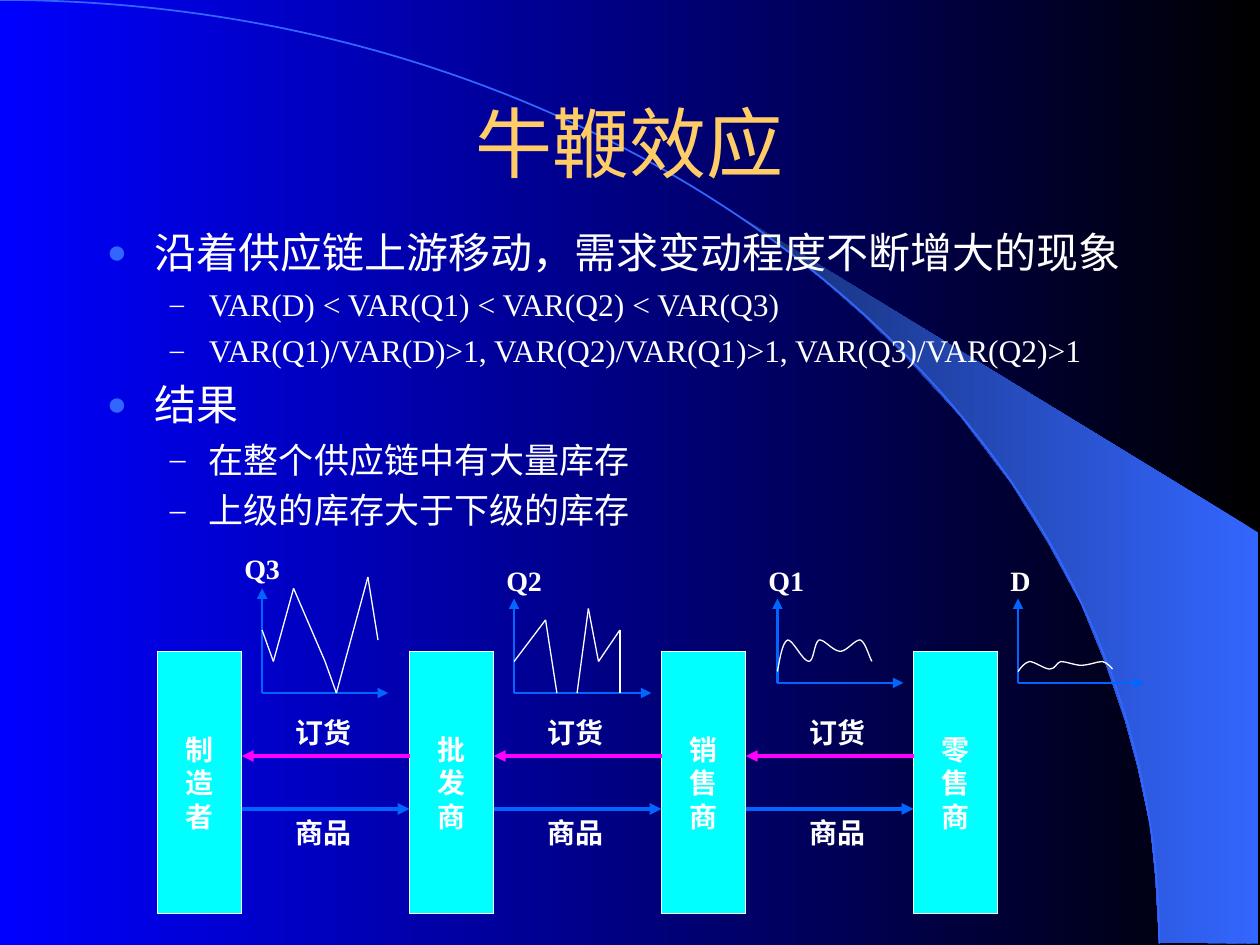
"""Build the bullwhip effect slide with its supply chain diagram."""
from lxml import etree
from pptx import Presentation
from pptx.dml.color import RGBColor
from pptx.enum.shapes import MSO_CONNECTOR, MSO_SHAPE
from pptx.enum.text import MSO_ANCHOR, MSO_AUTO_SIZE, PP_ALIGN
from pptx.oxml.ns import qn
from pptx.util import Inches, Pt

STRAIGHT = MSO_CONNECTOR.STRAIGHT
RECTANGLE = MSO_SHAPE.RECTANGLE
MIDDLE = MSO_ANCHOR.MIDDLE
CENTER, LEFT = PP_ALIGN.CENTER, PP_ALIGN.LEFT
FIT_SHAPE, FIXED = MSO_AUTO_SIZE.SHAPE_TO_FIT_TEXT, MSO_AUTO_SIZE.NONE

WHITE, ACCENT, FLOW_BLUE, MAGENTA, CYAN = "FFFFFF", "3366FF", "0066FF", "FF00FF", "00FFFF"
SERIF = "Times New Roman"
TITLE_FORMAT = {"size": Pt(44), "name": "Arial", "bold": False}
LABEL_FORMAT = {"size": Pt(16), "name": SERIF, "bold": True}

TITLE = "牛鞭效应"
BULLETS = [
    (0, 24, 0, "沿着供应链上游移动，需求变动程度不断增大的现象"),
    (1, 18, 4.5, "VAR(D) < VAR(Q1) < VAR(Q2) < VAR(Q3)"),
    (1, 18, 4.5, "VAR(Q1)/VAR(D)>1, VAR(Q2)/VAR(Q1)>1, VAR(Q3)/VAR(Q2)>1"),
    (0, 24, 6, "结果"),
    (1, 20, 5, "在整个供应链中有大量库存"),
    (1, 20, 5, "上级的库存大于下级的库存"),
]
LEVELS = [
    {"left": 0.38, "hanging": 0.38, "mark": "●", "color": ACCENT, "percent": 80},
    {"left": 0.81, "hanging": 0.31, "mark": "–", "color": WHITE, "percent": 90},
]
STAGES = ["制造者", "批发商", "销售商", "零售商"]
FLOW_LABEL_LEFTS = [2.25, 4.25, 6.33]
FLOW_LABELS = [("订货", 5.63, 0.64, False), ("商品", 6.42, 0.98, True)]
STAGE_LEFT, STAGE_PITCH, STAGE_WIDTH = 1.25, 2, 0.67
ORDER_Y, GOODS_Y = 6, 6.42

CHARTS = [
    {"label": ("Q3", 1.84, 4.33, 0.48), "origin": (2.08, 5.5), "top": 4.67, "right": 3.08,
     "lines": [[(2.08, 5), (2.17, 5.25), (2.33, 4.67), (2.58, 5.25),
                (2.67, 5.5), (2.92, 4.58), (3, 5.08)]]},
    {"label": ("Q2", 3.92, 4.42, 0.48), "origin": (4.08, 5.5), "top": 4.75, "right": 5.17,
     "lines": [[(4.08, 5.25), (4.33, 4.92), (4.42, 5.5)],
               [(4.58, 5.5), (4.67, 4.83), (4.75, 5.25), (4.92, 5), (4.92, 5.5)]]},
    {"label": ("Q1", 6, 4.42, 0.48), "origin": (6.17, 5.42), "top": 4.75, "right": 7.17,
     "curve": [(6.17, 5.33), (6.19, 5.22), (6.21, 5.1), (6.25, 5.08),
               (6.29, 5.07), (6.37, 5.25), (6.42, 5.25), (6.46, 5.25), (6.46, 5.1), (6.5, 5.08),
               (6.54, 5.07), (6.61, 5.17), (6.67, 5.17), (6.72, 5.17), (6.79, 5.07), (6.83, 5.08),
               (6.87, 5.1), (6.9, 5.22), (6.92, 5.25)]},
    {"label": ("D", 7.92, 4.42, 0.36), "origin": (8.08, 5.42), "top": 4.75, "right": 9.08,
     "curve": [(8.08, 5.33), (8.1, 5.3), (8.13, 5.26), (8.17, 5.25),
               (8.21, 5.25), (8.29, 5.31), (8.33, 5.31), (8.38, 5.31), (8.38, 5.26), (8.42, 5.25),
               (8.46, 5.25), (8.53, 5.28), (8.58, 5.28), (8.64, 5.28), (8.71, 5.25), (8.75, 5.25),
               (8.79, 5.26), (8.82, 5.3), (8.83, 5.31)]},
]
ARC = [(0, 0), (5.08, 0), (9.2, 3.35), (9.2, 7.49)]
ARC_FRAME = (-9.2, 0, 18.4, 14.97)
WEDGE = [(9.2, 7.48), (9.99, 7.49), (9.99, 4.23), (5.89, 1.73), (6.24, 1.99), (6.53, 2.22),
         (6.85, 2.5), (7.16, 2.8), (7.62, 3.3), (8.03, 3.84), (8.32, 4.31), (8.58, 4.79),
         (8.78, 5.28), (8.93, 5.72), (9.03, 6.09), (9.13, 6.56), (9.17, 6.96)]


def rgb(value):
    """Turn a hex string into a colour."""
    return RGBColor.from_string(value)


def set_gradient(fill, *colors):
    """Fill with a two-colour gradient running from right to left."""
    fill.gradient()
    fill.gradient_angle = 180
    for stop, position, color in zip(fill.gradient_stops, (0, 1), colors):
        stop.position = position
        stop.color.rgb = rgb(color)


def set_line(line, color, width):
    """Give a line its colour and width in points."""
    line.color.rgb = rgb(color)
    line.width = Pt(width)


def set_font(font, color, values):
    """Apply a colour and a dict of format values to a font."""
    font.color.rgb = rgb(color)
    for name, value in values.items():
        setattr(font, name, value)


def add_outline(slide, points, closed=False):
    """Draw a freeform through points given in inches."""
    corners = [(Inches(x), Inches(y)) for x, y in points]
    builder = slide.shapes.build_freeform(*corners[0], scale=1.0)
    builder.add_line_segments(corners[1:], close=closed)
    shape = builder.convert_to_shape()
    shape.shadow.inherit = False
    return shape


def set_frame(shape, frame):
    """Widen the frame of an outline while its points stay in place."""
    left, top, width, height = map(Inches, frame)
    for point in shape._element.iter(qn("a:pt")):
        point.set("x", str(int(point.get("x")) + shape.left - left))
        point.set("y", str(int(point.get("y")) + shape.top - top))
    geometry = next(shape._element.iter(qn("a:path")))
    geometry.set("w", str(width))
    geometry.set("h", str(height))
    shape.left, shape.top, shape.width, shape.height = left, top, width, height


def add_curve(slide, controls, color, width):
    """Draw a chain of cubic Bézier segments as an open outline."""
    shape = add_outline(slide, controls)
    segments = list(shape._element.iter(qn("a:lnTo")))
    geometry = segments[0].getparent()
    for first in range(0, len(segments), 3):
        bezier = etree.SubElement(geometry, qn("a:cubicBezTo"))
        for segment in segments[first:first + 3]:
            bezier.append(segment[0])
            geometry.remove(segment)
    shape.fill.background()
    set_line(shape.line, color, width)
    return shape


def add_line(slide, start, end, color, width, arrow=False):
    """Draw a straight connector, with an arrowhead at its end if asked."""
    connector = slide.shapes.add_connector(STRAIGHT, *map(Inches, start + end))
    set_line(connector.line, color, width)
    if arrow:
        outline = connector.line._get_or_add_ln()
        etree.SubElement(outline, qn("a:tailEnd"), type="triangle")
    etree.SubElement(connector._element.spPr, qn("a:effectLst"))


def add_text(slide, text, box, color=WHITE, values=LABEL_FORMAT, align=LEFT, wrap=False, fit=FIT_SHAPE):
    """Add a one-paragraph text box."""
    frame = slide.shapes.add_textbox(*map(Inches, box)).text_frame
    frame.word_wrap, frame.auto_size = wrap, fit
    paragraph = frame.paragraphs[0]
    paragraph.text, paragraph.alignment = text, align
    set_font(paragraph.runs[0].font, color, values)
    return frame


def add_bullets(slide):
    """Add the two-level bullet list."""
    frame = slide.shapes.add_textbox(*map(Inches, (0.75, 1.75, 8.5, 4.5))).text_frame
    frame.word_wrap = True
    for index, (level, size, before, text) in enumerate(BULLETS):
        paragraph = frame.add_paragraph() if index else frame.paragraphs[0]
        style = LEVELS[level]
        paragraph.level, paragraph.space_before = level, Pt(before)
        properties = paragraph._p.get_or_add_pPr()
        properties.set("marL", str(Inches(style["left"])))
        properties.set("indent", str(-Inches(style["hanging"])))
        color = etree.SubElement(properties, qn("a:buClr"))
        etree.SubElement(color, qn("a:srgbClr"), val=style["color"])
        etree.SubElement(properties, qn("a:buSzPct"), val=str(style["percent"] * 1000))
        etree.SubElement(properties, qn("a:buFont"), typeface=SERIF)
        etree.SubElement(properties, qn("a:buChar"), char=style["mark"])
        run = paragraph.add_run()
        run.text = text
        set_font(run.font, WHITE, {"size": Pt(size), "name": SERIF})


def add_stage(slide, left, name):
    """Add one supply chain stage with its name set vertically."""
    shape = slide.shapes.add_shape(RECTANGLE, *map(Inches, (left, 5.17, STAGE_WIDTH, 2.08)))
    shape.shadow.inherit = False
    shape.fill.solid()
    shape.fill.fore_color.rgb = rgb(CYAN)
    set_line(shape.line, WHITE, 0.75)
    frame = shape.text_frame
    frame.word_wrap, frame.vertical_anchor = False, MIDDLE
    frame.text = "\n".join(name)
    for paragraph in frame.paragraphs:
        paragraph.alignment = CENTER
        set_font(paragraph.runs[0].font, WHITE, LABEL_FORMAT)


def add_demand_chart(slide, chart):
    """Draw the axes, the demand line and the label of one sketch chart."""
    x, y = chart["origin"]
    for end in ((x, chart["top"]), (chart["right"], y)):
        add_line(slide, (x, y), end, FLOW_BLUE, 1.5, arrow=True)
    for points in chart.get("lines", []):
        for start, end in zip(points, points[1:]):
            add_line(slide, start, end, WHITE, 0.75)
    if "curve" in chart:
        add_curve(slide, chart["curve"], WHITE, 0.75)
    text, left, top, width = chart["label"]
    add_text(slide, text, (left, top, width, 0.37))


def main():
    """Assemble and save the slide."""
    presentation = Presentation()
    presentation.slide_width, presentation.slide_height = Inches(10), Inches(7.5)
    slide = presentation.slides.add_slide(presentation.slide_layouts[6])
    set_gradient(slide.background.fill, "000000", "0000FF")
    wedge = add_outline(slide, WEDGE, closed=True)
    set_gradient(wedge.fill, ACCENT, "172F75")
    wedge.line.fill.background()
    set_frame(add_curve(slide, ARC, ACCENT, 1), ARC_FRAME)

    title = add_text(slide, TITLE, (0.75, 0.5, 8.5, 1.25), "FFCC66", TITLE_FORMAT, CENTER, True, FIXED)
    title.vertical_anchor = MIDDLE
    add_bullets(slide)
    lefts = [STAGE_LEFT + STAGE_PITCH * index for index in range(len(STAGES))]
    for left, name in zip(lefts, STAGES):
        add_stage(slide, left, name)
    for left, following, label_left in zip(lefts, lefts[1:], FLOW_LABEL_LEFTS):
        right = left + STAGE_WIDTH
        add_line(slide, (following, ORDER_Y), (right, ORDER_Y), MAGENTA, 2.25, arrow=True)
        add_line(slide, (right, GOODS_Y), (following, GOODS_Y), FLOW_BLUE, 2.25, arrow=True)
        for text, top, width, wrap in FLOW_LABELS:
            add_text(slide, text, (label_left, top, width, 0.37), wrap=wrap)
    for chart in CHARTS:
        add_demand_chart(slide, chart)
    presentation.save("out.pptx")


if __name__ == "__main__":
    main()
